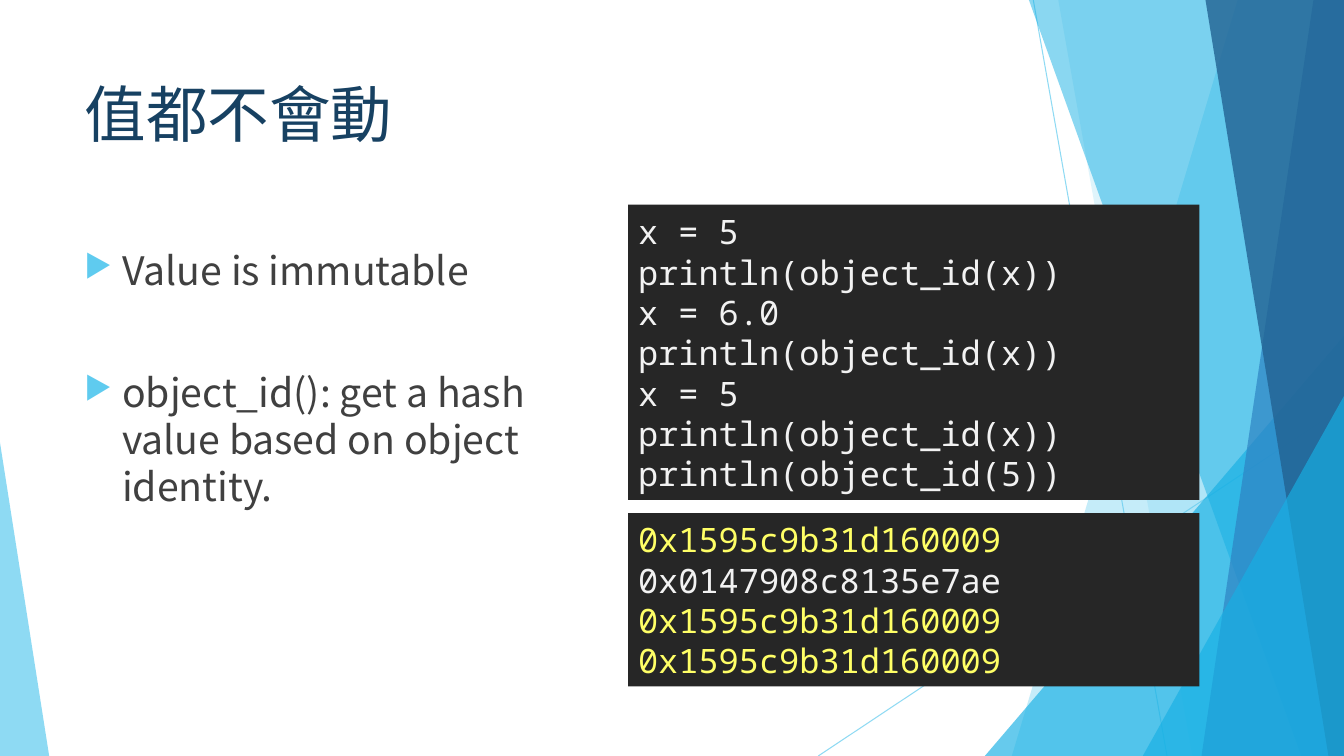
from lxml.etree import SubElement
from pptx import Presentation
from pptx.dml.color import RGBColor
from pptx.enum.shapes import MSO_CONNECTOR as Connector, MSO_SHAPE as Preset
from pptx.enum.text import MSO_ANCHOR as Anchor, MSO_AUTO_SIZE as AutoSize, PP_ALIGN as Align
from pptx.oxml.ns import qn
from pptx.util import Cm, Pt

WIDTH, HEIGHT = 33.87, 19.05
SANS, MONO = "Noto Sans CJK TC", "Noto Sans Mono"
SKY, CYAN, BLUE, NAVY = "5FCBEF", "17B0E4", "2E83C3", "226292"
PALE, YELLOW = "F2F2F2", "FFFF66"
LINE_PITCH = 1.2


def color(code):
    return RGBColor.from_string(code)


def apply(target, formats):
    for name, value in formats.items():
        setattr(target, name, value)


def set_alpha(element, percent):
    for tint in list(element.iter(qn("a:srgbClr"))):
        SubElement(tint, qn("a:alpha"), val=str(percent * 1000))


def paint(shape, code, opacity=100):
    shape.shadow.inherit = False
    shape.fill.solid()
    shape.fill.fore_color.rgb = color(code)
    shape.line.fill.background()
    if opacity < 100:
        set_alpha(shape._element.spPr, opacity)


def add_ray(slide, start, end):
    ray = slide.shapes.add_connector(Connector.STRAIGHT, *map(Cm, start + end))
    ray.line.color.rgb = color(SKY)
    ray.line.width = Pt(0.75)
    set_alpha(ray._element.spPr, 70)
    SubElement(ray._element.spPr, qn("a:effectLst"))


def add_band(slide, top_x, bottom_x, code, opacity):
    outline = slide.shapes.build_freeform(Cm(top_x), 0)
    corners = [(WIDTH, 0), (WIDTH, HEIGHT), (bottom_x, HEIGHT)]
    outline.add_line_segments([(Cm(x), Cm(y)) for x, y in corners])
    paint(outline.convert_to_shape(), code, opacity)


def add_corner(slide, left, top, width, peak, code, opacity):
    corner = slide.shapes.add_shape(
        Preset.ISOSCELES_TRIANGLE, Cm(left), Cm(top), Cm(width), Cm(HEIGHT - top))
    corner.adjustments[0] = peak
    paint(corner, code, opacity)


def add_line_of_text(paragraph, text, font, size, code):
    apply(paragraph, {"alignment": Align.LEFT, "line_spacing": Pt(size * LINE_PITCH)})
    run = paragraph.add_run()
    run.text = text
    apply(run.font, {"name": font, "size": Pt(size)})
    run.font.color.rgb = color(code)
    SubElement(run.font._element, qn("a:ea"), typeface=font)


def add_bullet(paragraph):
    properties = paragraph._p.get_or_add_pPr()
    properties.set("marL", str(Cm(0.95)))
    properties.set("indent", str(Cm(-0.95)))
    tint = SubElement(properties, qn("a:buClr"))
    SubElement(tint, qn("a:srgbClr"), val=SKY)
    SubElement(properties, qn("a:buSzPct"), val="80000")
    SubElement(properties, qn("a:buChar"), char="▶")


def fill_text(frame, lines, font, size, formats):
    apply(frame, {"word_wrap": True, **formats})
    for index, (text, code) in enumerate(lines):
        paragraph = frame.add_paragraph() if index else frame.paragraphs[0]
        add_line_of_text(paragraph, text, font, size, code)
    return frame.paragraphs


def add_text(slide, box, lines, size):
    frame = slide.shapes.add_textbox(*map(Cm, box)).text_frame
    formats = {"vertical_anchor": Anchor.TOP, "margin_top": Cm(0.22)}
    return fill_text(frame, lines, SANS, size, formats)


def add_console(slide, top, height, lines):
    console = slide.shapes.add_shape(
        Preset.RECTANGLE, Cm(15.83), Cm(top), Cm(14.4), Cm(height))
    paint(console, "262626")
    formats = {"vertical_anchor": Anchor.MIDDLE, "auto_size": AutoSize.SHAPE_TO_FIT_TEXT}
    fill_text(console.text_frame, lines, MONO, 24, formats)


def add_backdrop(slide):
    add_ray(slide, (26.04, 0), (29.41, HEIGHT))
    add_ray(slide, (WIDTH, 10.24), (20.62, HEIGHT))
    add_band(slide, 31.19, 25.5, SKY, 36)
    add_band(slide, 26.67, 30.05, SKY, 20)
    add_corner(slide, 24.82, 8.46, WIDTH - 24.82, 1, CYAN, 66)
    add_band(slide, 25.93, 32.79, CYAN, 50)
    add_band(slide, 33.1, 30.28, BLUE, 70)
    add_band(slide, 30.38, 33.48, NAVY, 80)
    add_corner(slide, 28.8, 9.98, WIDTH - 28.8, 1, CYAN, 66)
    add_corner(slide, 0, 11.15, 1.24, 0, SKY, 70)


def main():
    deck = Presentation()
    apply(deck, {"slide_width": Cm(WIDTH), "slide_height": Cm(HEIGHT)})
    slide = deck.slides.add_slide(deck.slide_layouts[6])
    add_backdrop(slide)

    add_text(slide, (1.88, 1.7, 23.88, 3.66), [("值都不會動", "174162")], 44)
    points = ["Value is immutable",
              "object_id(): get a hash value based on object identity."]
    bullets = add_text(slide, (1.88, 5.99, 13.06, 10.77),
                       [(point, "404040") for point in points], 28)
    bullets[1].space_before = Pt(53.6)
    for bullet in bullets:
        add_bullet(bullet)

    show_x = "println(object_id(x))"
    code = ["x = 5", show_x, "x = 6.0", show_x, "x = 5", show_x, "println(object_id(5))"]
    add_console(slide, 5.16, 7.44, [(statement, PALE) for statement in code])
    id_of_5, id_of_6 = ("0x1595c9b31d160009", YELLOW), ("0x0147908c8135e7ae", PALE)
    add_console(slide, 12.93, 4.37, [id_of_5, id_of_6, id_of_5, id_of_5])
    deck.save("out.pptx")


main()
